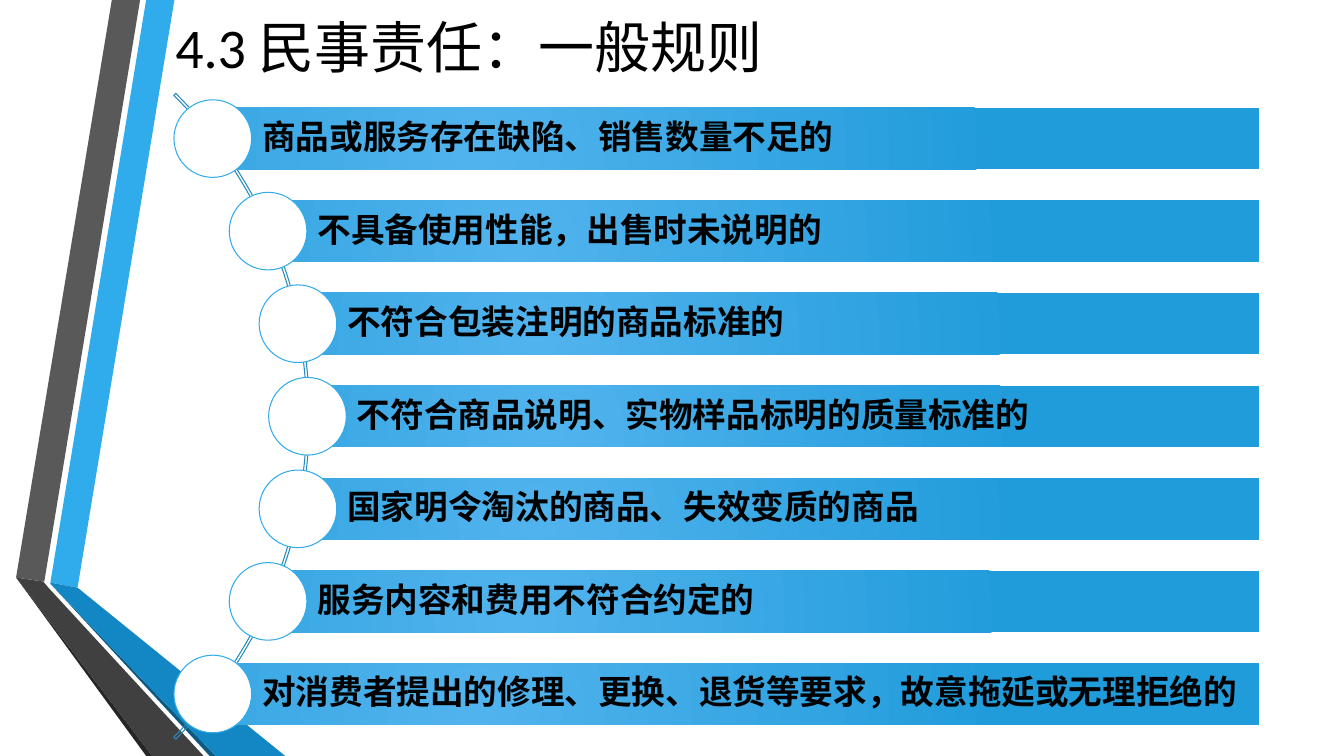
from math import sqrt
from pptx import Presentation
from pptx.dml.color import RGBColor
from pptx.enum.shapes import MSO_SHAPE as Preset
from pptx.enum.text import MSO_ANCHOR as Anchor, PP_ALIGN as Align
from pptx.oxml import parse_xml
from pptx.oxml.ns import nsdecls, qn
from pptx.util import Inches, Pt

COLORS = {
    "black": "000000", "white": "FFFFFF", "sky": "30ACEC", "blue": "1287C3",
    "navy": "0C5A82", "gray": "595959", "charcoal": "404040", "ink": "262626",
    "arc": "268ABD", "bar_light": "51B3ED", "bar_dark": "219CDB",
}
TITLE_FONT = {"name": "Calibri", "size": Pt(40), "bold": False}
BAR_FONT = {"name": "Calibri", "size": Pt(24), "bold": True}
TITLE_FRAME = {"vertical_anchor": Anchor.MIDDLE, "word_wrap": True}
BAR_FRAME = {
    "vertical_anchor": Anchor.MIDDLE, "word_wrap": True,
    "margin_left": Inches(0.49), "margin_right": Inches(0.07),
    "margin_top": Inches(0.07), "margin_bottom": Inches(0.07),
}
TITLE_PARAGRAPH = {"alignment": Align.CENTER}
BAR_PARAGRAPH = {"alignment": Align.LEFT, "line_spacing": 0.9}


def assign(target, values):
    for name, value in values.items():
        setattr(target, name, value)


class SlideBuilder:
    def __init__(self, slide):
        self.slide = slide

    def color(self, name):
        return RGBColor.from_string(COLORS[name])

    def paint(self, shape, fill=None, line=None):
        shape.shadow.inherit = False
        if fill:
            shape.fill.solid()
            shape.fill.fore_color.rgb = self.color(fill)
        else:
            shape.fill.background()
        if line:
            shape.line.color.rgb = self.color(line)
            shape.line.width = Pt(0.75)
        else:
            shape.line.fill.background()

    def label(self, shape, text, frame_format, paragraph_format, font_format):
        frame = shape.text_frame
        assign(frame, frame_format)
        paragraph = frame.paragraphs[0]
        assign(paragraph, paragraph_format)
        run = paragraph.add_run()
        run.text = text
        assign(run.font, font_format)
        run.font.color.rgb = self.color("black")

    def title(self, text, left, top, width, height):
        shape = self.slide.shapes.title
        assign(shape, {"left": Inches(left), "top": Inches(top),
                       "width": Inches(width), "height": Inches(height)})
        self.label(shape, text, TITLE_FRAME, TITLE_PARAGRAPH, TITLE_FONT)

    def outline(self, fill, points):
        start, *rest = [(Inches(x), Inches(y)) for x, y in points]
        builder = self.slide.shapes.build_freeform(*start)
        builder.add_line_segments(rest, close=True)
        self.paint(builder.convert_to_shape(), fill)

    def preset(self, kind, left, top, width, height, fill=None, line=None):
        shape = self.slide.shapes.add_shape(
            kind, Inches(left), Inches(top), Inches(width), Inches(height))
        self.paint(shape, fill, line)
        return shape

    def arc(self, center_x, center_y, radius):
        shape = self.preset(Preset.BLOCK_ARC, center_x - radius, center_y - radius,
                            2 * radius, 2 * radius, line="arc")
        for index, value in enumerate((189, 27, 0.003)):
            shape.adjustments[index] = value

    def bar(self, text, left, top, width, height):
        shape = self.preset(Preset.RECTANGLE, left, top, width, height)
        shape.fill.gradient()
        for stop, name, position in zip(shape.fill.gradient_stops,
                                        ("bar_light", "bar_dark"), (0, 1)):
            stop.color.rgb = self.color(name)
            stop.position = position
        linear = shape.element.spPr.find(qn("a:gradFill")).find(qn("a:lin"))
        linear.getparent().replace(linear, parse_xml(
            f'<a:path {nsdecls("a")} path="circle"><a:fillToRect '
            'l="50000" t="100000" r="100000" b="50000"/></a:path>'))
        self.label(shape, text, BAR_FRAME, BAR_PARAGRAPH, BAR_FONT)

    def circle(self, center_x, center_y, size):
        self.preset(Preset.OVAL, center_x - size / 2, center_y - size / 2,
                    size, size, "white", "sky")


RIBBONS = [
    ("sky", [(0.5, 5.78), (0.77, 5.83), (1.73, 0), (1.45, 0)]),
    ("gray", [(1.39, 0), (1.11, 0), (0.16, 5.73), (0.44, 5.77)]),
    ("ink", [(0.16, 5.73), (1.45, 7.5), (1.51, 7.5)]),
    ("navy", [(0.5, 5.79), (2.08, 7.5), (2.14, 7.5)]),
    ("blue", [(0.5, 5.79), (2.14, 7.5), (2.83, 7.5), (0.77, 5.83), (0.5, 5.78)]),
    ("charcoal", [(2.02, 7.5), (0.48, 5.83), (0.43, 5.77), (0.16, 5.73), (1.51, 7.5)]),
]
RULES = [
    "商品或服务存在缺陷、销售数量不足的",
    "不具备使用性能，出售时未说明的",
    "不符合包装注明的商品标准的",
    "不符合商品说明、实物样品标明的质量标准的",
    "国家明令淘汰的商品、失效变质的商品",
    "服务内容和费用不符合约定的",
    "对消费者提出的修理、更换、退货等要求，故意拖延或无理拒绝的",
]
ARC_X, ARC_Y, ARC_RADIUS = -1.46, 4.13, 4.53
CIRCLE_RADIUS = 4.51
BAR_RIGHT, BAR_HEIGHT, CIRCLE_SIZE = 12.49, 0.61, 0.77
PITCH = 5.51 / (len(RULES) - 1)

presentation = Presentation()
presentation.slide_width = Inches(13.33)
presentation.slide_height = Inches(7.5)
builder = SlideBuilder(presentation.slides.add_slide(presentation.slide_layouts[5]))

for fill, points in RIBBONS:
    builder.outline(fill, points)
builder.title("4.3 民事责任：一般规则", 0.53, 0, 8.24, 0.92)
builder.arc(ARC_X, ARC_Y, ARC_RADIUS)
for index, rule in enumerate(RULES):
    offset = (index - (len(RULES) - 1) / 2) * PITCH
    center_x = ARC_X + sqrt(CIRCLE_RADIUS ** 2 - offset ** 2)
    center_y = ARC_Y + offset
    builder.bar(rule, center_x, center_y - BAR_HEIGHT / 2,
                BAR_RIGHT - center_x, BAR_HEIGHT)
    builder.circle(center_x, center_y, CIRCLE_SIZE)

presentation.save("out.pptx")
